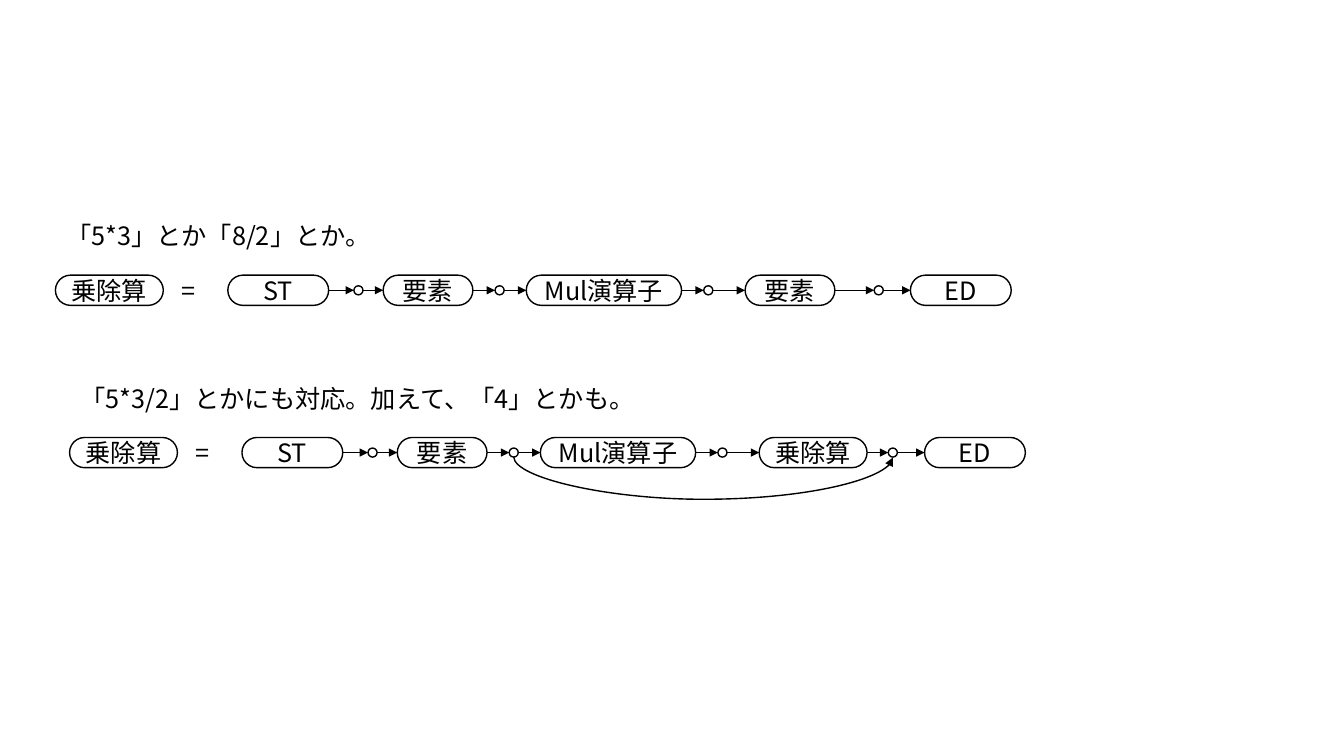
import dataclasses
import itertools
import typing

import lxml.etree
import pptx
import pptx.dml.color
import pptx.enum.shapes
import pptx.enum.text
import pptx.oxml.ns
import pptx.util

Inches = pptx.util.Inches
SHAPE = pptx.enum.shapes.MSO_SHAPE
CONNECTOR = pptx.enum.shapes.MSO_CONNECTOR
BLACK = pptx.dml.color.RGBColor(0, 0, 0)
WHITE = pptx.dml.color.RGBColor(255, 255, 255)
FONT = "Noto Sans CJK JP"
TEXT_FORMAT = {"size": pptx.util.Pt(18), "name": FONT}
PILL_H, DOT, TEXT_H = 0.3, 0.09, 0.4


@dataclasses.dataclass
class Node:
    """A pill, or a junction dot when it has no label; x is from the row's left."""
    x: float
    width: float = DOT
    label: str = ""


@dataclasses.dataclass
class Rule:
    """One grammar rule: its caption and the last operand of its chain."""
    left: float
    mid: float
    caption: str
    caption_width: float
    operand: Node


NAME = Node(0, 1.07, "乗除算")
FORK, JOIN = Node(4.36), Node(8.12)
RULES = [
    Rule(0.55, 2.88, "「5*3」とか「8/2」とか。", 3.41, Node(6.84, 0.89, "要素")),
    Rule(0.69, 4.49, "「5*3/2」とかにも対応。加えて、「4」とかも。", 5.99,
         Node(6.84, 1.07, "乗除算")),
]


def sub(parent: typing.Any, tag: str, **attrs: str) -> typing.Any:
    """Append a DrawingML child element."""
    child = lxml.etree.SubElement(parent, pptx.oxml.ns.qn(tag))
    for key, value in attrs.items():
        child.set(key, value)
    return child


def write(tf: typing.Any, text: str) -> None:
    """Put formatted text in a text frame."""
    r = tf.paragraphs[0].add_run()
    r.text = text
    for key, value in TEXT_FORMAT.items():
        setattr(r.font, key, value)
    r.font.color.rgb = BLACK
    sub(r.font._element, "a:ea", typeface=FONT)


def add_text(s: typing.Any, x: float, y: float, width: float, text: str) -> None:
    """Add an unwrapped text box."""
    tf = s.shapes.add_textbox(*map(Inches, (x, y, width, TEXT_H))).text_frame
    tf.word_wrap = False
    tf.auto_size = pptx.enum.text.MSO_AUTO_SIZE.SHAPE_TO_FIT_TEXT
    write(tf, text)


def outline(line: typing.Any) -> None:
    """Set the thin black line that everything shares."""
    line.color.rgb = BLACK
    line.width = pptx.util.Pt(1)


def add_node(s: typing.Any, rule: Rule, node: Node) -> None:
    """Draw a pill or a dot, centred on the row's middle."""
    height = PILL_H if node.label else DOT
    kind = SHAPE.ROUNDED_RECTANGLE if node.label else SHAPE.OVAL
    sp = s.shapes.add_shape(kind, *map(Inches, (
        rule.left + node.x, rule.mid - height / 2, node.width, height)))
    sp.shadow.inherit = False
    outline(sp.line)
    if node.label:
        sp.adjustments[0] = 0.5
        sp.fill.background()
        tf = sp.text_frame
        tf.vertical_anchor = pptx.enum.text.MSO_ANCHOR.MIDDLE
        tf.paragraphs[0].alignment = pptx.enum.text.PP_ALIGN.CENTER
        write(tf, node.label)
    else:
        sp.fill.solid()
        sp.fill.fore_color.rgb = WHITE


def add_arrow(s: typing.Any, kind: typing.Any, x1: float, y1: float,
              x2: float, y2: float) -> typing.Any:
    """Add a connector with an arrowhead at its end."""
    c = s.shapes.add_connector(kind, *map(Inches, (x1, y1, x2, y2)))
    outline(c.line)
    sub(c.line._get_or_add_ln(), "a:tailEnd", type="triangle")
    sub(c._element.spPr, "a:effectLst")
    return c


def add_bypass(s: typing.Any, rule: Rule) -> None:
    """Curve below the chain from the fork dot to the join dot."""
    rise, depth = 0.01, 0.43
    span = JOIN.x - FORK.x
    x = rule.left + (FORK.x + JOIN.x + DOT) / 2
    y = rule.mid + DOT / 2
    c = add_arrow(s, CONNECTOR.CURVE, x + rise / 2, y - span / 2,
                  x - rise / 2, y + span / 2)
    spPr = c._element.spPr
    spPr.find(pptx.oxml.ns.qn("a:xfrm")).set("rot", str(270 * 60000))
    avLst = spPr.find(".//" + pptx.oxml.ns.qn("a:avLst"))
    sub(avLst, "a:gd", name="adj1", fmla=f"val {round(depth / rise * 100000)}")


def add_rule(s: typing.Any, rule: Rule) -> None:
    """Draw a caption, the rule's name and its chain of nodes."""
    chain = [Node(1.71, 1, "ST"), Node(2.96), Node(3.25, 0.89, "要素"), FORK,
             Node(4.67, 1.54, "Mul演算子"), Node(6.43), rule.operand, JOIN,
             Node(8.48, 1, "ED")]
    add_text(s, rule.left + 0.01, rule.mid - 0.74, rule.caption_width, rule.caption)
    add_text(s, rule.left + 1.15, rule.mid - TEXT_H / 2, 0.38, "=")
    for node in [NAME, *chain]:
        add_node(s, rule, node)
    for a, b in itertools.pairwise(chain):
        add_arrow(s, CONNECTOR.STRAIGHT, rule.left + a.x + a.width, rule.mid,
                  rule.left + b.x, rule.mid)


prs = pptx.Presentation()
prs.slide_width, prs.slide_height = Inches(13.33), Inches(7.5)
s = prs.slides.add_slide(prs.slide_layouts[6])
for rule in RULES:
    add_rule(s, rule)
add_bypass(s, RULES[1])
prs.save("out.pptx")
